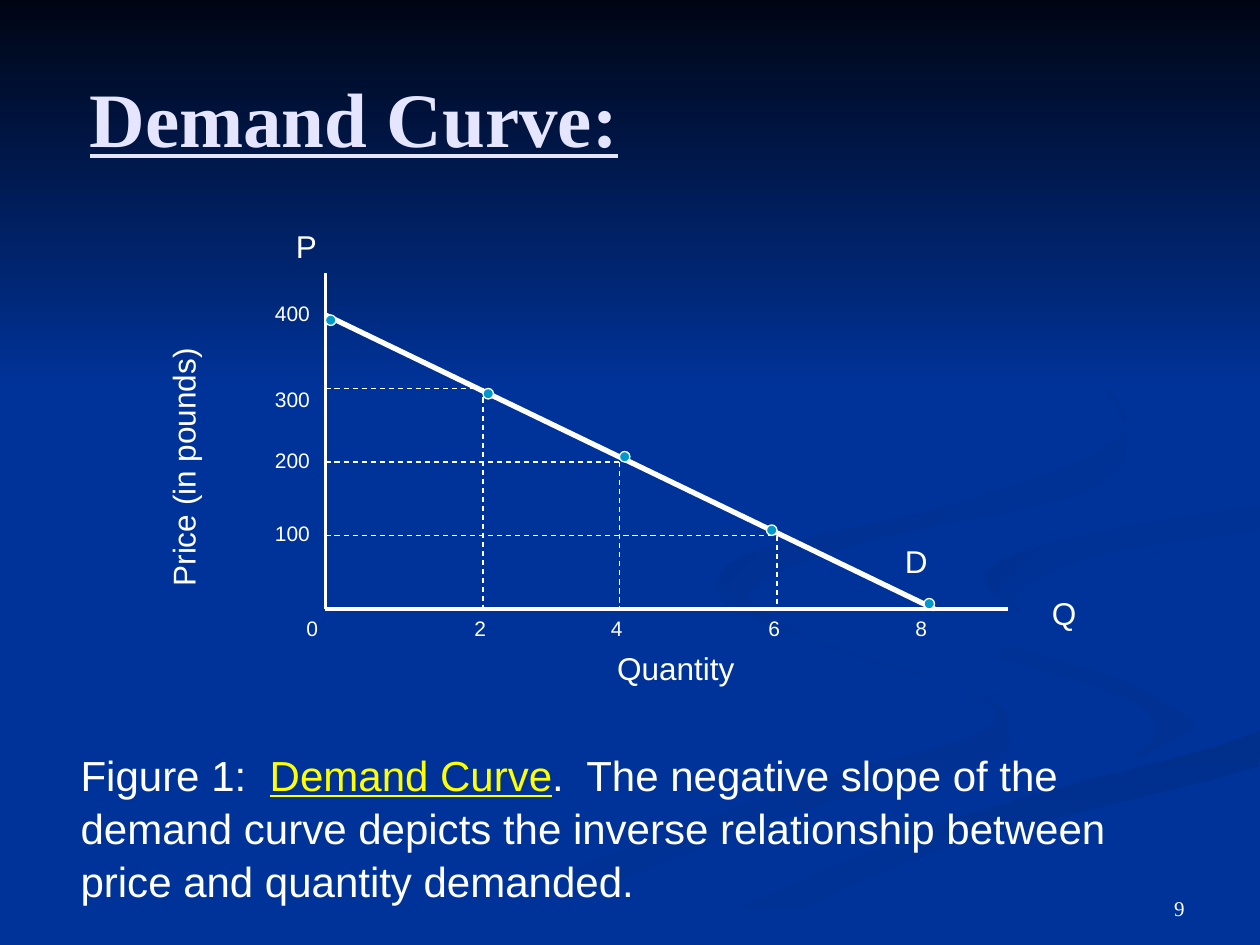
import pptx
import pptx.dml.color
import pptx.enum.dml
import pptx.enum.shapes
import pptx.enum.text
import pptx.oxml
import pptx.oxml.ns
import pptx.util

Pt = pptx.util.Pt
Shapes = pptx.enum.shapes.MSO_SHAPE
Anchor = pptx.enum.text.MSO_ANCHOR
Align = pptx.enum.text.PP_ALIGN

WIDTH, HEIGHT = 720, 540
BLUE, WHITE, YELLOW, TEAL, LAVENDER = "003399", "FFFFFF", "FFFF00", "0099CC", "E5E5FF"
SANS, SERIF = "Arial", "Times New Roman"

# Outline points, gradient start and end colour, clockwise angle
SWIRLS = [
    ([(562, 398), (462, 365), (414, 330), (418, 348), (489, 374), (559, 398), (557, 420),
      (444, 453), (216, 539), (260, 539), (449, 466), (562, 436), (576, 418)],
     BLUE, "003193", 0),
    ([(679, 410), (626, 382), (546, 359), (521, 334), (552, 369), (642, 398), (661, 418),
      (644, 436), (678, 418)], BLUE, "003193", 45),
    ([(362, 539), (411, 539), (541, 484), (719, 438), (719, 418), (550, 466), (454, 499)],
     "002F8C", BLUE, 90),
    ([(522, 334), (570, 366), (670, 398), (667, 427), (535, 463), (343, 539), (374, 538),
      (550, 466), (719, 418), (719, 387), (599, 359), (562, 333), (612, 307), (719, 289),
      (719, 279), (582, 300)], BLUE, BLUE, 0),
    ([(562, 331), (595, 357), (580, 340), (632, 316), (719, 302), (719, 289), (601, 310)],
     "003091", BLUE, 45),
    ([(492, 310), (616, 282), (644, 248), (607, 198), (549, 168), (626, 215), (638, 251),
      (549, 287), (424, 318), (418, 341), (448, 360), (427, 338)], "002F8E", BLUE, 45),
]


def color(text):
    return pptx.dml.color.RGBColor.from_string(text)


def smooth(points, steps=5):
    """Closed Catmull-Rom curve through the points, kept on the slide."""
    curve = []
    for i, here in enumerate(points):
        before, after = points[i - 1], points[(i + 1) % len(points)]
        beyond = points[(i + 2) % len(points)]
        for t in (step / steps for step in range(steps)):
            x, y = (
                b + t * (c - a + t * (2 * a - 5 * b + 4 * c - d
                                      + t * (3 * (b - c) + d - a))) / 2
                for a, b, c, d in zip(before, here, after, beyond))
            curve.append((min(x, WIDTH), min(y, HEIGHT)))
    return curve


class Painter:
    """Holds the current slide and the shared text style."""

    def __init__(self, page, font=SANS, ink=WHITE):
        self.page, self.font, self.ink = page, font, ink

    def format(self, font, size, ink=None, name=None):
        font.name, font.size = name or self.font, Pt(size)
        font.color.rgb = color(ink or self.ink)

    def title(self, text, left, top, width, height):
        box = self.page.shapes.title
        box.left, box.top, box.width, box.height = map(Pt, (left, top, width, height))
        frame = box.text_frame
        frame.text, frame.vertical_anchor = text, Anchor.MIDDLE
        para = frame.paragraphs[0]
        para.alignment = Align.LEFT
        self.format(para.font, 44, LAVENDER, SERIF)
        para.font.bold = para.font.underline = True
        # Bring the title in front of the backdrop
        box.element.getparent().append(box.element)

    def text(self, text, left, top, width, height, size=18, name=None):
        box = self.page.shapes.add_textbox(*map(Pt, (left, top, width, height)))
        box.text_frame.word_wrap = True
        para = box.text_frame.paragraphs[0]
        para.text = text
        self.format(para.font, size, name=name)
        return box

    def caption(self, spans, left, top, width, height):
        """Each span is a text and whether it is a highlighted term."""
        box = self.text("", left, top, width, height)
        para = box.text_frame.paragraphs[0]
        para.line_spacing = 1.05
        for text, is_term in spans:
            span = para.add_run()
            span.text = text
            self.format(span.font, 24, YELLOW if is_term else None)
            span.font.underline = is_term

    def line(self, start, end, width, dashed=False):
        line = self.page.shapes.add_connector(
            pptx.enum.shapes.MSO_CONNECTOR.STRAIGHT, *map(Pt, (*start, *end)))
        line.line.width, line.line.color.rgb = Pt(width), color(self.ink)
        if dashed:
            line.line.dash_style = pptx.enum.dml.MSO_LINE.DASH
        line.element.spPr.append(
            pptx.oxml.parse_xml(f'<a:effectLst {pptx.oxml.ns.nsdecls("a")}/>'))

    def gradient(self, shape, first, last, angle):
        shape.shadow.inherit = False
        shape.line.fill.background()
        shape.fill.gradient()
        shape.fill.gradient_angle = 360 - angle
        for stop, tone in zip(shape.fill.gradient_stops, (first, last)):
            stop.color.rgb = color(tone)

    def swirl(self, points, *shades):
        start, *others = smooth(points)
        builder = self.page.shapes.build_freeform(*start, scale=Pt(1))
        builder.add_line_segments(others)
        self.gradient(builder.convert_to_shape(), *shades)

    def sky(self, height):
        band = self.page.shapes.add_shape(Shapes.RECTANGLE, 0, 0, Pt(WIDTH), Pt(height))
        self.gradient(band, "000514", BLUE, 90)

    def marker(self, left, top, size=6):
        dot = self.page.shapes.add_shape(
            Shapes.FLOWCHART_CONNECTOR, *map(Pt, (left, top, size, size)))
        dot.shadow.inherit = False
        dot.fill.solid()
        dot.fill.fore_color.rgb = color(TEAL)
        dot.line.color.rgb, dot.line.width = color(self.ink), Pt(0.75)


def main():
    deck = pptx.Presentation()
    deck.slide_width, deck.slide_height = Pt(WIDTH), Pt(HEIGHT)
    page = deck.slides.add_slide(deck.slide_layouts[5])
    page.background.fill.solid()
    page.background.fill.fore_color.rgb = color(BLUE)
    painter = Painter(page)

    for swirl in SWIRLS:
        painter.swirl(*swirl)
    painter.sky(222)
    painter.title("Demand Curve:", 44, 21.6, 604, 90)

    origin_x, origin_y, price_step = 186, 348, 42
    origin = (origin_x, origin_y)
    painter.line((origin_x, 156), origin, 1.75)
    painter.line(origin, (576, origin_y), 1.75)
    for steps, x in enumerate((444, 354, 276), start=1):
        y = origin_y - steps * price_step
        painter.line((origin_x, y), (x, y), 0.75, dashed=True)
        painter.line((x, y), (x, origin_y), 0.75, dashed=True)

    painter.text("Quantity", 345.6, 367.2, 96, 28.8)
    painter.text("Price (in pounds)", -9.4, 213.8, 228, 28.8).rotation = 270
    for name, left, top in (("P", 162, 126), ("Q", 594, 336), ("D", 510, 306)):
        painter.text(name, left, top, 30, 28.8)
    for i, left in enumerate((168, 264, 342, 432, 516)):
        painter.text(str(2 * i), left, origin_y, 24, 21.6, 12)
    for i, top in enumerate((294, 252, 217.5, 168), start=1):
        painter.text(str(100 * i), 150, top, 36, 21.6, 12)

    painter.caption([
        ("Figure 1:  ", False),
        ("Demand Curve", True),
        (".  The negative slope of the demand curve depicts the inverse "
         "relationship between price and quantity demanded.", False),
    ], 39, 423.4, 654, 94.3)

    painter.line((origin_x, 180), (534, origin_y), 3)
    for point in ((276, 222), (354, 258), (438, 300), (528, 342), (origin_x, 180)):
        painter.marker(*point)

    number = painter.text("9", 516, 492, 168, 37.4, 12, SERIF)
    number.text_frame.vertical_anchor = Anchor.BOTTOM
    number.text_frame.paragraphs[0].alignment = Align.RIGHT
    deck.save("out.pptx")


if __name__ == "__main__":
    main()
